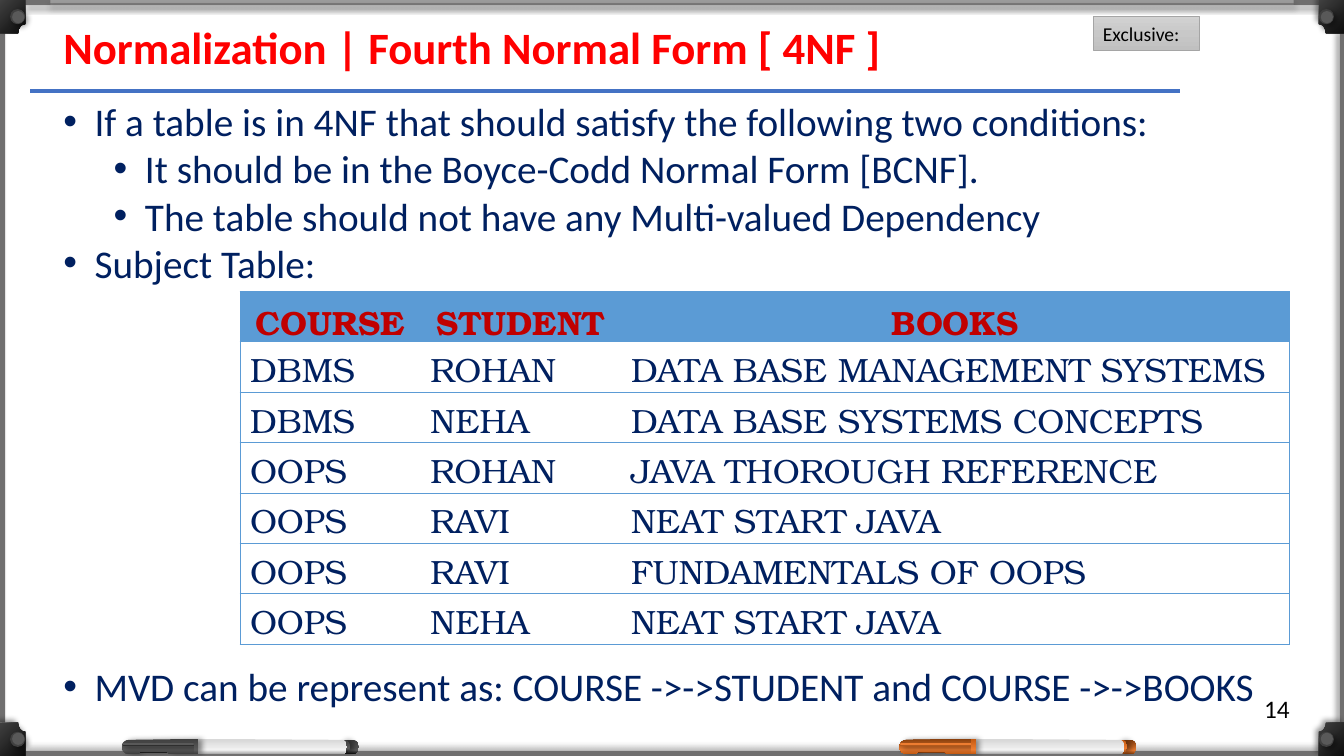
from math import cos, radians, sin

from pptx import Presentation
from pptx.dml.color import RGBColor
from pptx.enum.shapes import MSO_CONNECTOR as Connector, MSO_SHAPE as Preset
from pptx.enum.text import MSO_ANCHOR as Anchor, PP_ALIGN as Align
from pptx.oxml import parse_xml
from pptx.oxml.ns import nsdecls, qn
from pptx.util import Inches, Pt

BLACK = RGBColor(0x00, 0x00, 0x00)
RED = RGBColor(0xFF, 0x00, 0x00)
DARK_RED = RGBColor(0xC0, 0x00, 0x00)
NAVY = RGBColor(0x00, 0x20, 0x60)
BLUE = RGBColor(0x44, 0x72, 0xC4)
TABLE_BLUE = RGBColor(0x5B, 0x9B, 0xD5)
FRAME_GRAY = RGBColor(0x70, 0x6F, 0x6F)
PALE = RGBColor(0xD9, 0xD9, 0xD9)
WHITE_GRAY = RGBColor(0xF2, 0xF2, 0xF2)
LABEL_TOP = RGBColor(0xD2, 0xD2, 0xD2)
LABEL_MID = RGBColor(0xC8, 0xC8, 0xC8)
LABEL_END = RGBColor(0xC0, 0xC0, 0xC0)
SILVER = RGBColor(0xA6, 0xA6, 0xA6)
LABEL_LINE = RGBColor(0xA5, 0xA5, 0xA5)
STEEL = RGBColor(0x59, 0x59, 0x59)
CHARCOAL = RGBColor(0x40, 0x40, 0x40)
INK = RGBColor(0x0D, 0x0D, 0x0D)
ORANGE = RGBColor(0xED, 0x7D, 0x31)
RUST = RGBColor(0xC5, 0x5A, 0x11)
BROWN = RGBColor(0x84, 0x3C, 0x0B)

WIDTH, HEIGHT = 13.33, 7.5
NO_STYLE = "{2D5ABB26-0587-4C30-8999-92F81FD0307C}"

BULLETS = [
    (0, 0, "If a table is in 4NF that should satisfy the following two conditions:"),
    (1, 0, "It should be in the Boyce-Codd Normal Form [BCNF]."),
    (1, 0, "The table should not have any Multi-valued Dependency"),
    (0, 0, "Subject Table:"),
    (0, 269, "MVD can be represent as: COURSE ->->STUDENT and COURSE ->->BOOKS"),
]
SUBJECTS = [
    ("COURSE", "STUDENT", "BOOKS"),
    ("DBMS", "ROHAN", "DATA BASE MANAGEMENT SYSTEMS"),
    ("DBMS", "NEHA", "DATA BASE SYSTEMS CONCEPTS"),
    ("OOPS", "ROHAN", "JAVA THOROUGH REFERENCE"),
    ("OOPS", "RAVI", "NEAT START JAVA"),
    ("OOPS", "RAVI", "FUNDAMENTALS OF OOPS"),
    ("OOPS", "NEHA", "NEAT START JAVA"),
]


def arc(x, y, rx, ry, start, end):
    """Return points along an elliptical arc, with angles in degrees."""
    angles = [radians(start + (end - start) * step / 8) for step in range(9)]
    return [(x + rx * cos(angle), y + ry * sin(angle)) for angle in angles]


class Board:
    """Draws styled elements on the current slide."""

    font = "Calibri"
    table_font = "TeX Gyre Bonum"

    def __init__(self, slide):
        self.shapes = slide.shapes

    def paint(self, shape, fill, angle=90, shadow=None, alpha=None):
        """Give a shape a solid or gradient fill and an optional shadow direction."""
        shape.line.fill.background()
        if isinstance(fill, list):
            shape.fill.gradient()
            old = shape._element.spPr.find(qn("a:gradFill"))
            stops = "".join(f'<a:gs pos="{pos * 1000}"><a:srgbClr val="{color}"/></a:gs>' for pos, color in fill)
            new = parse_xml(f'<a:gradFill {nsdecls("a")} rotWithShape="1"><a:gsLst>{stops}</a:gsLst>'
                            f'<a:lin ang="{angle * 60000}" scaled="0"/></a:gradFill>')
            old.getparent().replace(old, new)
        else:
            shape.fill.solid()
            shape.fill.fore_color.rgb = fill
        if alpha:
            color = shape._element.spPr.find(qn("a:solidFill"))[0]
            color.append(parse_xml(f'<a:alpha {nsdecls("a")} val="{alpha * 1000}"/>'))
        shape.shadow.inherit = False
        if shadow is not None:
            shape._element.spPr.find(qn("a:effectLst")).append(parse_xml(
                f'<a:outerShdw {nsdecls("a")} blurRad="{Pt(4)}" dist="{Pt(3)}" dir="{shadow * 60000}" algn="ctr" '
                'rotWithShape="0"><a:srgbClr val="000000"><a:alpha val="40000"/></a:srgbClr></a:outerShdw>'))
        return shape

    def preset(self, kind, place, fill, **look):
        """Add a painted preset shape."""
        return self.paint(self.shapes.add_shape(kind, *map(Inches, place)), fill, **look)

    def outline(self, points, fill, **look):
        """Add a painted closed outline."""
        first, *rest = [(Inches(x), Inches(y)) for x, y in points]
        builder = self.shapes.build_freeform(*first)
        builder.add_line_segments(rest, close=True)
        return self.paint(builder.convert_to_shape(), fill, **look)

    def corner(self, right, bottom):
        """Add a corner bracket with its screw."""
        points = [(0, 0), (0.25, 0), *arc(0.25, 0.33, 0.07, 0.09, 270, 180), (0, 0.33)]
        self.outline([(WIDTH - x if right else x, HEIGHT - y if bottom else y) for x, y in points],
                     [(0, CHARCOAL), (100, INK)], angle=45, shadow=225)
        for inset, size, color, shadow in ((0.09, 0.15, CHARCOAL, 45), (0.11, 0.12, STEEL, None)):
            left = WIDTH - 0.25 + inset - 0.09 if right else 0.01 + inset
            top = HEIGHT - inset - size if bottom else inset
            self.preset(Preset.OVAL, (left, top, size, size), color, shadow=shadow)

    def marker(self, x, edge, light, dark, end):
        """Add a whiteboard marker in the given tones."""
        self.outline([(x + 2.18, 7.34), *arc(x + 2.29, 7.41, 0.06, 0.07, -90, 90), (x + 2.18, 7.48)],
                     [(0, edge), (74, light), (100, end)])
        self.preset(Preset.OVAL, (x + 2.15, 7.34, 0.11, 0.13), [(0, dark), (67, light), (100, end)], shadow=0)
        self.outline([(x + 0.75, 7.33), *arc(x + 2.19, 7.41, 0.04, 0.07, -90, 90), (x + 0.75, 7.48)],
                     [(8, PALE), (74, WHITE_GRAY), (100, SILVER)])
        self.preset(Preset.RECTANGLE, (x + 0.11, 7.44, 0.41, 0.03), [(71, end), (100, dark)])
        cap = [(x + 0.75, 7.33), *arc(x + 0.07, 7.41, 0.07, 0.07, 270, 90), (x + 0.16, 7.48),
               (x + 0.18, 7.46), (x + 0.45, 7.46), (x + 0.47, 7.48), (x + 0.75, 7.48)]
        self.outline(cap, [(0, edge), (73, light), (100, dark)], shadow=0)
        self.preset(Preset.ROUNDED_RECTANGLE, (x + 0.01, 7.37, 0.7, 0.03),
                    [(32, light), (71, light), (100, end)], shadow=45)
        self.preset(Preset.ROUNDED_RECTANGLE, (x + 0.71, 7.33, 0.05, 0.15), [(0, dark), (73, light), (100, dark)])

    def rule(self, x1, x2, y):
        """Add the heading rule."""
        line = self.shapes.add_connector(Connector.STRAIGHT, *map(Inches, (x1, y, x2, y)))
        line.line.color.rgb = BLUE
        line.line.width = Pt(3)
        line._element.spPr.append(parse_xml(f'<a:effectLst {nsdecls("a")}/>'))

    def style(self, para, size, color, bold=False, font=None):
        """Format every run of a paragraph."""
        for span in para.runs:
            span.font.name = font or self.font
            span.font.size = Pt(size)
            span.font.bold = bold
            span.font.color.rgb = color

    def text(self, place, words, size, color, bold=False):
        """Add a one-paragraph text box."""
        box = self.shapes.add_textbox(*map(Inches, place))
        box.text_frame.word_wrap = True
        box.text_frame.text = words
        self.style(box.text_frame.paragraphs[0], size, color, bold)

    def label(self, place, words):
        """Add the gray label."""
        box = self.preset(Preset.RECTANGLE, place, [(0, LABEL_TOP), (50, LABEL_MID), (100, LABEL_END)])
        box.line.color.rgb = LABEL_LINE
        box.line.width = Pt(0.5)
        box.text_frame.text = words
        para = box.text_frame.paragraphs[0]
        para.alignment = Align.LEFT
        self.style(para, 14, BLACK)

    def bullets(self, place, items):
        """Add a bulleted list of level, space before and words."""
        frame = self.shapes.add_textbox(*map(Inches, place)).text_frame
        frame.word_wrap = True
        for index, (level, space, words) in enumerate(items):
            para = frame.add_paragraph() if index else frame.paragraphs[0]
            para.text = words
            para.level = level
            para.alignment = Align.JUSTIFY
            para.space_before = Pt(space)
            props = para._p.get_or_add_pPr()
            props.set("marL", str(Inches(0.31 + level / 2)))
            props.set("indent", str(Inches(-0.31)))
            props.append(parse_xml(f'<a:buFont {nsdecls("a")} typeface="Arial"/>'))
            props.append(parse_xml(f'<a:buChar {nsdecls("a")} char="•"/>'))
            self.style(para, 28, NAVY)

    def table(self, left, top, columns, row_height, rows):
        """Add a ruled table whose first row is the header."""
        place = (left, top, sum(columns), row_height * len(rows))
        grid = self.shapes.add_table(len(rows), len(columns), *map(Inches, place)).table
        grid._tbl.tblPr.find(qn("a:tableStyleId")).text = NO_STYLE
        grid.horz_banding = False
        for column, width in zip(grid.columns, columns):
            column.width = Inches(width)
        for i, row in enumerate(rows):
            for j, words in enumerate(row):
                cell = grid.cell(i, j)
                cell.text = words
                cell.margin_top, cell.margin_bottom = Inches(0.05), 0
                cell.vertical_anchor = Anchor.TOP
                para = cell.text_frame.paragraphs[0]
                para.alignment = Align.LEFT if i else Align.CENTER
                self.style(para, 24, NAVY if i else DARK_RED, i == 0, self.table_font)
                sides = "L" * (j == 0) + "R" * (j == len(row) - 1) + "TB"
                for side in sides:
                    cell._tc.get_or_add_tcPr().append(parse_xml(
                        f'<a:ln{side} {nsdecls("a")} w="{Pt(0.5)}"><a:solidFill>'
                        f'<a:srgbClr val="{TABLE_BLUE}"/></a:solidFill></a:ln{side}>'))
                if i:
                    cell.fill.background()
                else:
                    cell.fill.solid()
                    cell.fill.fore_color.rgb = TABLE_BLUE


def main():
    """Build and save the slide."""
    deck = Presentation()
    deck.slide_width, deck.slide_height = Inches(WIDTH), Inches(HEIGHT)
    board = Board(deck.slides.add_slide(deck.slide_layouts[6]))
    for place, shadow, color, alpha in (
            ((0.25, 0, 13.08, 0.05), 90, FRAME_GRAY, None), ((0, 0.25, 0.05, 6.92), 180, FRAME_GRAY, None),
            ((0.25, 7.45, 12.84, 0.05), 270, FRAME_GRAY, None), ((13.29, 0.33, 0.05, 6.92), 180, FRAME_GRAY, None),
            ((0.5, 0, 12.33, 0.05), 90, PALE, 16), ((0.5, 0, 12.33, 0.03), 90, PALE, 33)):
        board.preset(Preset.RECTANGLE, place, color, shadow=shadow, alpha=alpha)
    for right in (False, True):
        for bottom in (False, True):
            board.corner(right, bottom)
    board.marker(1.21, CHARCOAL, STEEL, CHARCOAL, INK)
    board.marker(8.92, BROWN, ORANGE, RUST, BROWN)
    board.text((12.44, 6.83, 0.5, 0.4), "14", 18, BLACK)
    board.rule(0.3, 11.7, 0.9)
    board.label((10.84, 0.16, 1.06, 0.34), "Exclusive:")
    board.text((0.53, 0.15, 8.38, 0.64), "Normalization | Fourth Normal Form [ 4NF ]", 32, RED, True)
    board.bullets((0.53, 0.92, 12.26, 6.23), BULLETS)
    board.table(2.38, 2.89, (1.79, 1.99, 6.63), 0.5, SUBJECTS)
    deck.save("out.pptx")


if __name__ == "__main__":
    main()
